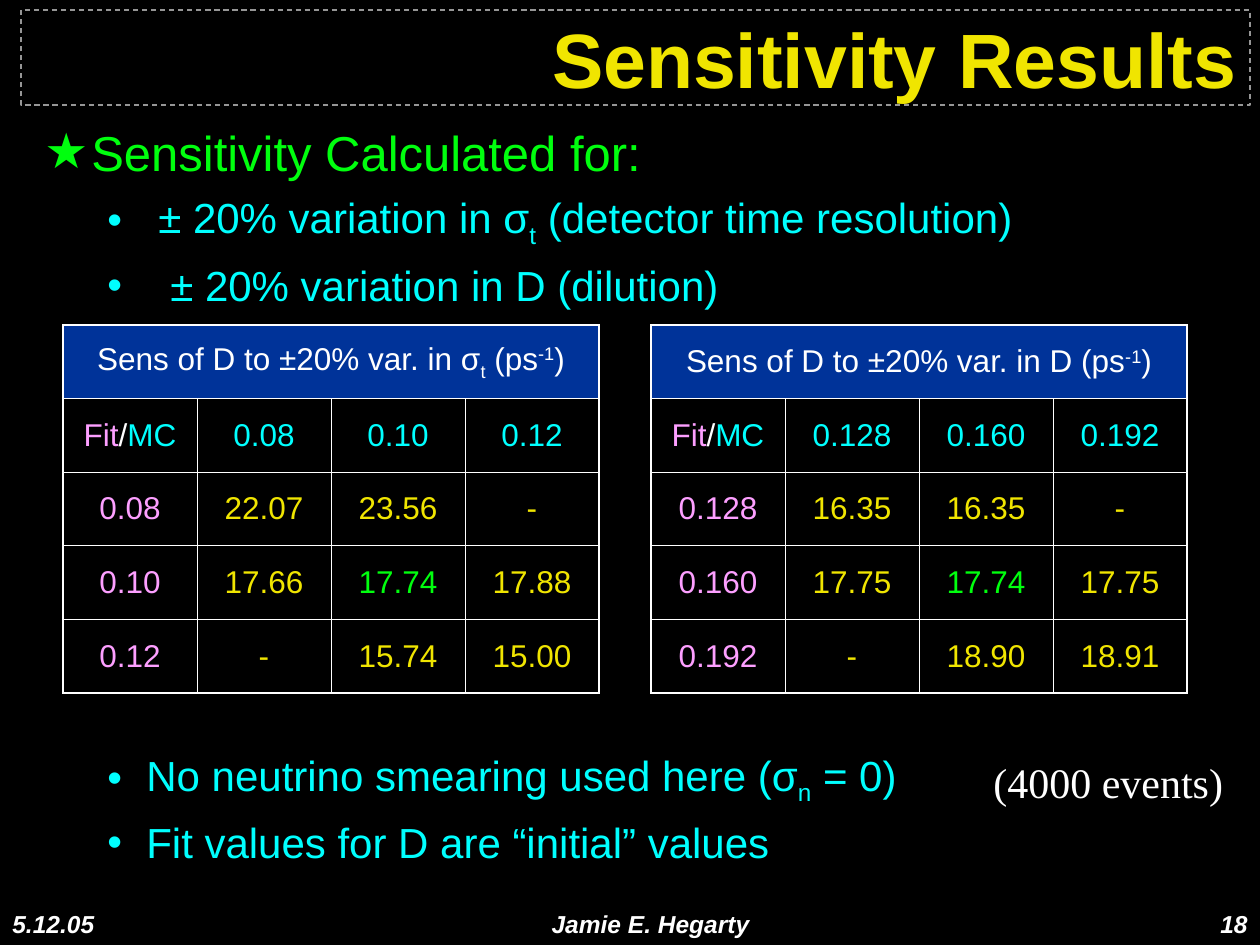
from collections import namedtuple
from dataclasses import dataclass

from lxml.etree import SubElement
from pptx import Presentation
from pptx.dml.color import RGBColor
from pptx.enum.dml import MSO_LINE
from pptx.enum.text import MSO_ANCHOR, PP_ALIGN
from pptx.oxml.ns import qn
from pptx.util import Pt

PX = 914400 / 126
Box = namedtuple("Box", "left top width height")
Span = namedtuple("Span", "text color baseline", defaults=(None, 0))
Item = namedtuple("Item", "spans margin space")


@dataclass(frozen=True)
class Theme:
    sans: str = "Arial"
    serif: str = "Times New Roman"
    black: str = "000000"
    white: str = "FFFFFF"
    gray: str = "969696"
    yellow: str = "F0E500"
    green: str = "00FF0E"
    cyan: str = "00FFFF"
    pink: str = "FD9FFF"
    blue: str = "003399"
    title: int = 44
    heading: int = 28
    body: int = 24
    cell: int = 18
    footer: int = 14
    outer_line: float = 1.08
    inner_line: float = 0.45


THEME = Theme()


def emu(pixels):
    return round(pixels * PX)


def rgb(color):
    return RGBColor.from_string(color)


def write(para, spans, size, color, name=THEME.sans, bold=False, italic=False):
    font = para.font
    font.size, font.name, font.bold, font.italic = Pt(size), name, bold, italic
    font.color.rgb = rgb(color)
    for part in spans:
        span = para.add_run()
        span.text = part.text
        if part.color:
            span.font.color.rgb = rgb(part.color)
        if part.baseline:
            span._r.get_or_add_rPr().set("baseline", str(part.baseline * 1000))


def add_text_frame(page, box, wrap=True):
    frame = page.shapes.add_textbox(*map(emu, box)).text_frame
    frame.word_wrap = wrap
    return frame


def add_title(page, box, text):
    title = page.shapes.title
    title.left, title.top, title.width, title.height = map(emu, box)
    title.line.color.rgb = rgb(THEME.gray)
    title.line.width = Pt(0.75)
    title.line.dash_style = MSO_LINE.DASH
    frame = title.text_frame
    frame.vertical_anchor = MSO_ANCHOR.MIDDLE
    para = frame.paragraphs[0]
    para.alignment = PP_ALIGN.RIGHT
    write(para, [Span(text)], THEME.title, THEME.yellow, bold=True)


def set_bullet(para, symbol, color, margin, hang):
    props = para._p.get_or_add_pPr()
    props.set("marL", str(emu(margin)))
    props.set("indent", str(-emu(hang)))
    bullet_color = SubElement(props, qn("a:buClr"))
    SubElement(bullet_color, qn("a:srgbClr"), val=color)
    SubElement(props, qn("a:buFont"), typeface=THEME.sans)
    SubElement(props, qn("a:buChar"), char=symbol)


def add_outline(page, box, heading, items):
    frame = add_text_frame(page, box)
    para = frame.paragraphs[0]
    set_bullet(para, "★", THEME.green, 47, 47)
    para.space_before = Pt(7)
    write(para, [Span(heading)], THEME.heading, THEME.green)
    bullet_left = 63
    for item in items:
        para = frame.add_paragraph()
        set_bullet(para, "•", THEME.cyan, item.margin, item.margin - bullet_left)
        para.space_before = Pt(item.space)
        write(para, item.spans, THEME.body, THEME.cyan)


def set_borders(cell, widths):
    props = cell._tc.get_or_add_tcPr()
    for side, width in zip("LRTB", widths):
        line = SubElement(props, qn(f"a:ln{side}"), w=str(Pt(width)))
        fill = SubElement(line, qn("a:solidFill"))
        SubElement(fill, qn("a:srgbClr"), val=THEME.white)


def cell_color(row, column):
    if row == 1:
        return THEME.cyan
    if column == 0:
        return THEME.pink
    return THEME.green if (row, column) == (3, 2) else THEME.yellow


def add_sensitivity_table(page, box, header, levels, results):
    corner = [Span("Fit", THEME.pink), Span("/", THEME.white), Span("MC", THEME.cyan)]
    grid = [[header, [], [], []], [corner] + [[Span(level)] for level in levels]]
    for level, values in zip(levels, results):
        grid.append([[Span(text)] for text in (level, *values)])
    rows, columns = len(grid), len(grid[0])
    table = page.shapes.add_table(rows, columns, *map(emu, box)).table
    table.first_row = table.horz_banding = False
    table.cell(0, 0).merge(table.cell(0, columns - 1))
    for row, contents in enumerate(grid):
        for column, spans in enumerate(contents):
            cell = table.cell(row, column)
            edges = (column == 0, column == columns - 1 or row == 0,
                     row == 0, row == rows - 1)
            set_borders(cell, [THEME.outer_line if edge else THEME.inner_line
                               for edge in edges])
            if row == 0:
                cell.fill.solid()
                cell.fill.fore_color.rgb = rgb(THEME.blue)
            else:
                cell.fill.background()
            cell.vertical_anchor = MSO_ANCHOR.MIDDLE
            if spans:
                para = cell.text_frame.paragraphs[0]
                para.alignment = PP_ALIGN.CENTER
                para.space_before = Pt(4.5)
                color = THEME.white if row == 0 else cell_color(row, column)
                write(para, spans, THEME.cell, color)


def add_note(page, box, text):
    para = add_text_frame(page, box, wrap=False).paragraphs[0]
    write(para, [Span(text)], THEME.body, THEME.white, THEME.serif)


def add_footer(page, box, date, author, number):
    parts = [(date, 0, 252, PP_ALIGN.LEFT),
             (author, 262, 777, PP_ALIGN.CENTER),
             (number, 1050, 210, PP_ALIGN.RIGHT)]
    for text, offset, width, alignment in parts:
        place = Box(box.left + offset, box.top, width, box.height)
        para = add_text_frame(page, place).paragraphs[0]
        para.alignment = alignment
        write(para, [Span(text)], THEME.footer, THEME.white, bold=True, italic=True)


def main():
    deck = Presentation()
    deck.slide_width, deck.slide_height = emu(1260), emu(945)
    page = deck.slides.add_slide(deck.slide_layouts[5])
    page.background.fill.solid()
    page.background.fill.fore_color.rgb = rgb(THEME.black)

    add_title(page, Box(21, 10, 1229, 95), "Sensitivity Results")
    add_outline(page, Box(32, 116, 1207, 788), "Sensitivity Calculated for:", [
        Item([Span("± 20% variation in σ"), Span("t", baseline=-25),
              Span(" (detector time resolution)")], 114, 6),
        Item([Span("± 20% variation in D (dilution)")], 126, 6),
        Item([Span("No neutrino smearing used here (σ"), Span("n", baseline=-25),
              Span(" = 0)")], 102, 251),
        Item([Span("Fit values for D are “initial” values")], 102, 6),
    ])

    unit = [Span(" (ps"), Span("-1", baseline=30), Span(")")]
    title = "Sens of D to ±20% var. in "
    add_sensitivity_table(
        page, Box(63, 325, 536, 368),
        [Span(title + "σ"), Span("t", baseline=-25), *unit],
        ["0.08", "0.10", "0.12"],
        [["22.07", "23.56", "-"], ["17.66", "17.74", "17.88"], ["-", "15.74", "15.00"]])
    add_sensitivity_table(
        page, Box(651, 325, 536, 368),
        [Span(title + "D"), *unit],
        ["0.128", "0.160", "0.192"],
        [["16.35", "16.35", "-"], ["17.75", "17.74", "17.75"], ["-", "18.90", "18.91"]])

    add_note(page, Box(981, 750, 255, 63), "(4000 events)")
    add_footer(page, Box(0, 903, 1260, 42), "5.12.05", "Jamie E. Hegarty", "18")
    deck.save("out.pptx")


if __name__ == "__main__":
    main()
